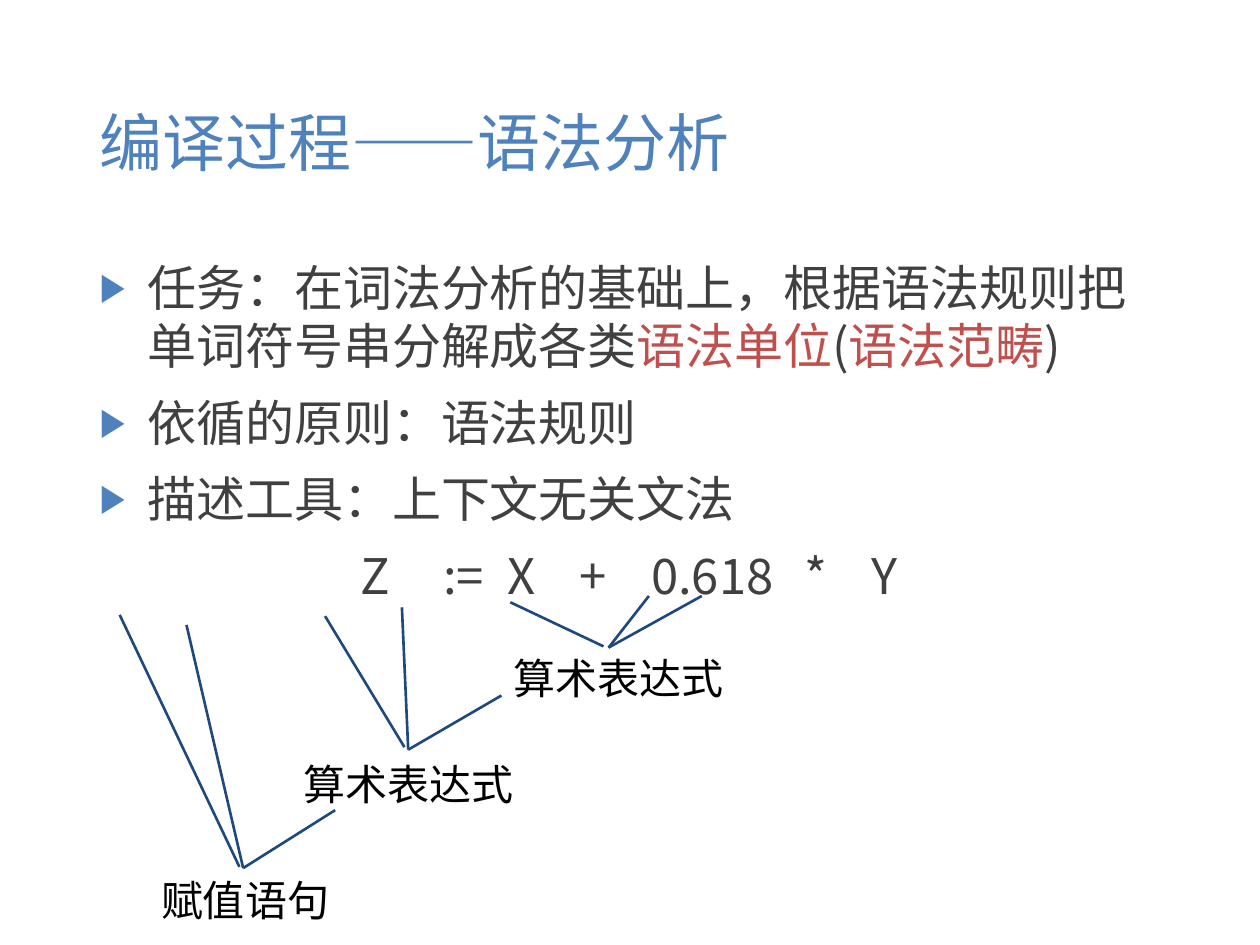
from typing import NamedTuple

from lxml import etree
from pptx import Presentation
from pptx import util as u
from pptx.dml.color import RGBColor
from pptx.enum import shapes, text
from pptx.oxml.ns import qn

BLUE = RGBColor(0x4F, 0x81, 0xBD)
NAVY = RGBColor(0x1F, 0x49, 0x7D)
GRAY = RGBColor(0x40, 0x40, 0x40)
RED = RGBColor(0xC0, 0x50, 0x4D)
BLACK = RGBColor(0, 0, 0)
CJK_FONT = "Noto Sans CJK SC"
LATIN_FONT = "Arial"
LEFT, WIDTH = 0.69, 8.63
HANG = 0.38


class Branch(NamedTuple):
    """A grammar unit: its label box and the lines that join its parts."""
    label: str
    box: tuple
    lines: list


BULLETS = [
    [("任务：在词法分析的基础上，根据语法规则把单词符号串分解成各类", GRAY),
     ("语法单位", RED), ("(", GRAY), ("语法范畴", RED), (")", GRAY)],
    [("依循的原则：语法规则", GRAY)],
    [("描述工具：上下文无关文法", GRAY)],
]
FORMULA = ["Z", ":=", "X", "+", "0.618", "*", "Y"]
FORMULA_BOX = (2.76, 4.28, 4.7, 0.57)
FORMULA_STOPS = [0.66, 1.17, 1.74, 2.31, 3.53, 4.06]
BRANCHES = [
    Branch("算术表达式", (3.98, 5.13, 1.88, 0.5),
           [(4.05, 4.78, 4.79, 5.13), (5.15, 4.73, 4.83, 5.14), (5.57, 4.73, 4.83, 5.14)]),
    Branch("算术表达式", (2.31, 5.97, 1.88, 0.5),
           [(2.58, 4.89, 3.21, 5.93), (3.19, 4.82, 3.24, 5.95), (3.98, 5.52, 3.24, 5.95)]),
    Branch("赋值语句", (1.18, 6.89, 1.56, 0.5),
           [(0.95, 4.88, 1.9, 6.88), (1.48, 4.96, 1.93, 6.89), (2.66, 6.43, 1.93, 6.89)]),
]


def place(shape, left: float, top: float, width: float, height: float) -> None:
    shape.left, shape.top = u.Inches(left), u.Inches(top)
    shape.width, shape.height = u.Inches(width), u.Inches(height)


def add_text(paragraph, content: str, *, size: float, color: RGBColor,
             font: str = CJK_FONT) -> None:
    run = paragraph.add_run()
    run.text = content
    run.font.size = u.Pt(size)
    run.font.name = font
    run.font.color.rgb = color
    east_asian = etree.SubElement(run.font._element, qn("a:ea"))
    east_asian.set("typeface", CJK_FONT)


def set_bullet(paragraph) -> None:
    properties = paragraph._p.get_or_add_pPr()
    properties.set("marL", str(u.Inches(HANG)))
    properties.set("indent", str(-u.Inches(HANG)))
    color = etree.SubElement(properties, qn("a:buClr"))
    etree.SubElement(color, qn("a:srgbClr")).set("val", str(BLUE))
    etree.SubElement(properties, qn("a:buSzPct")).set("val", "80000")
    etree.SubElement(properties, qn("a:buFont")).set("typeface", LATIN_FONT)
    etree.SubElement(properties, qn("a:buChar")).set("char", "▶")


def set_tab_stops(paragraph, stops: list) -> None:
    tabs = etree.SubElement(paragraph._p.get_or_add_pPr(), qn("a:tabLst"))
    for stop in stops:
        etree.SubElement(tabs, qn("a:tab"), pos=str(u.Inches(stop)), algn="l")


def fill_title(title) -> None:
    place(title, LEFT, 0.4, WIDTH, 1.45)
    title.text_frame.vertical_anchor = text.MSO_ANCHOR.MIDDLE
    paragraph = title.text_frame.paragraphs[0]
    paragraph.alignment = text.PP_ALIGN.LEFT
    add_text(paragraph, "编译过程——语法分析", size=36, color=BLUE)


def fill_body(body) -> None:
    place(body, LEFT, 1.99, WIDTH, 4.76)
    frame = body.text_frame
    frame.auto_size = text.MSO_AUTO_SIZE.NONE
    for index, runs in enumerate(BULLETS):
        paragraph = frame.add_paragraph() if index else frame.paragraphs[0]
        set_bullet(paragraph)
        paragraph.alignment = text.PP_ALIGN.LEFT
        paragraph.line_spacing = 1.0
        paragraph.space_before = u.Pt(10 if index else 0)
        for content, color in runs:
            add_text(paragraph, content, size=28, color=color)


def add_text_box(slide, box: tuple):
    """Add an unwrapped text box and return its first paragraph."""
    shape = slide.shapes.add_textbox(*[u.Inches(value) for value in box])
    shape.text_frame.word_wrap = False
    return shape.text_frame.paragraphs[0]


def add_formula(slide) -> None:
    paragraph = add_text_box(slide, FORMULA_BOX)
    set_tab_stops(paragraph, FORMULA_STOPS)
    paragraph.alignment = text.PP_ALIGN.LEFT
    add_text(paragraph, "\t".join(FORMULA), size=28, color=GRAY)


def add_line(slide, start_x: float, start_y: float, end_x: float, end_y: float) -> None:
    ends = [u.Inches(value) for value in (start_x, start_y, end_x, end_y)]
    line = slide.shapes.add_connector(shapes.MSO_CONNECTOR.STRAIGHT, *ends)
    line.line.color.rgb = NAVY
    line.line.width = u.Pt(1.5)
    etree.SubElement(line._element.spPr, qn("a:effectLst"))


def add_branch(slide, branch: Branch) -> None:
    add_text(add_text_box(slide, branch.box), branch.label,
             size=24, color=BLACK, font=LATIN_FONT)
    for line in branch.lines:
        add_line(slide, *line)


def main() -> None:
    presentation = Presentation()
    presentation.slide_width, presentation.slide_height = u.Inches(10), u.Inches(7.5)
    slide = presentation.slides.add_slide(presentation.slide_layouts[1])
    fill_title(slide.shapes.title)
    fill_body(slide.placeholders[1])
    add_formula(slide)
    for branch in BRANCHES:
        add_branch(slide, branch)
    presentation.save("out.pptx")


if __name__ == "__main__":
    main()
